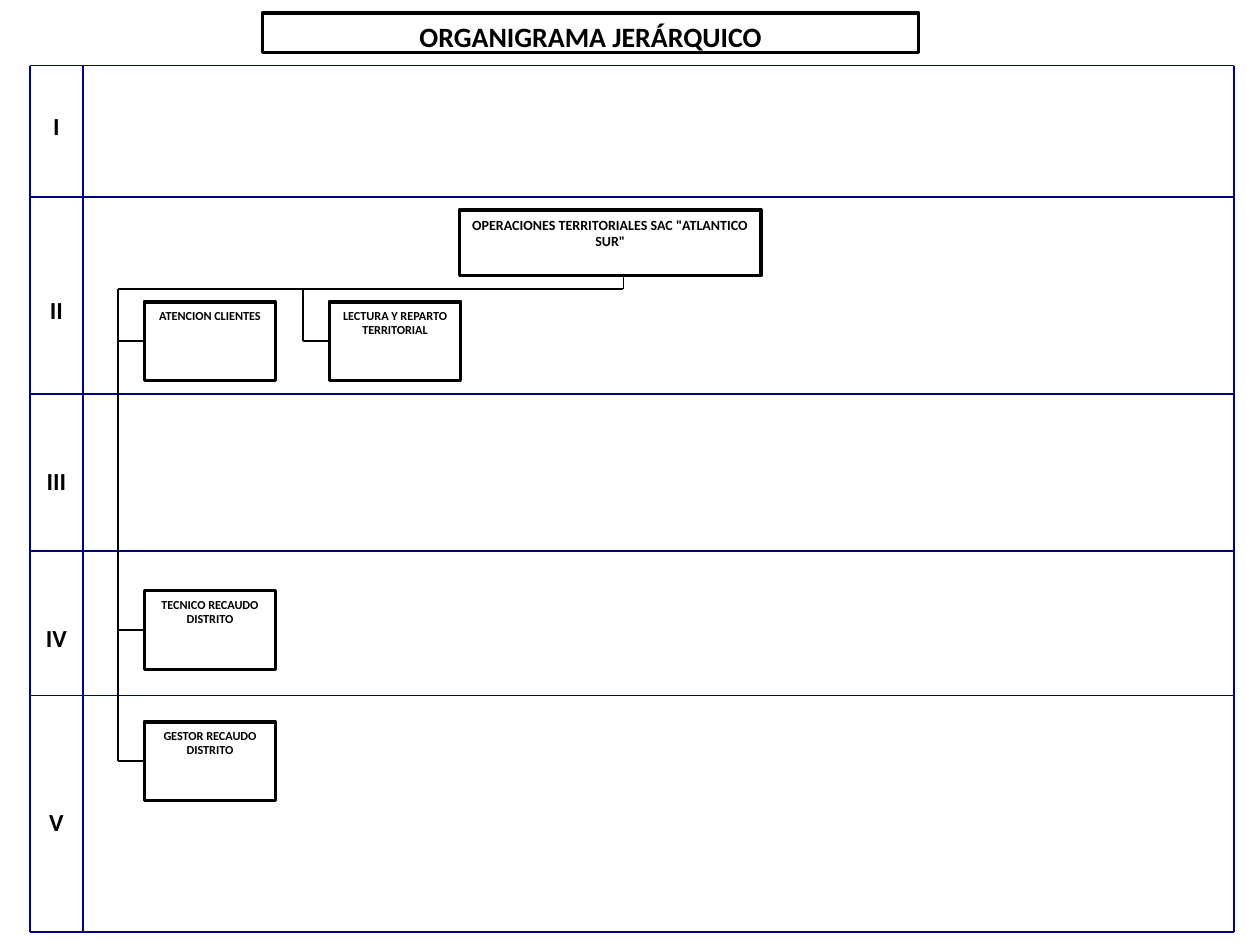
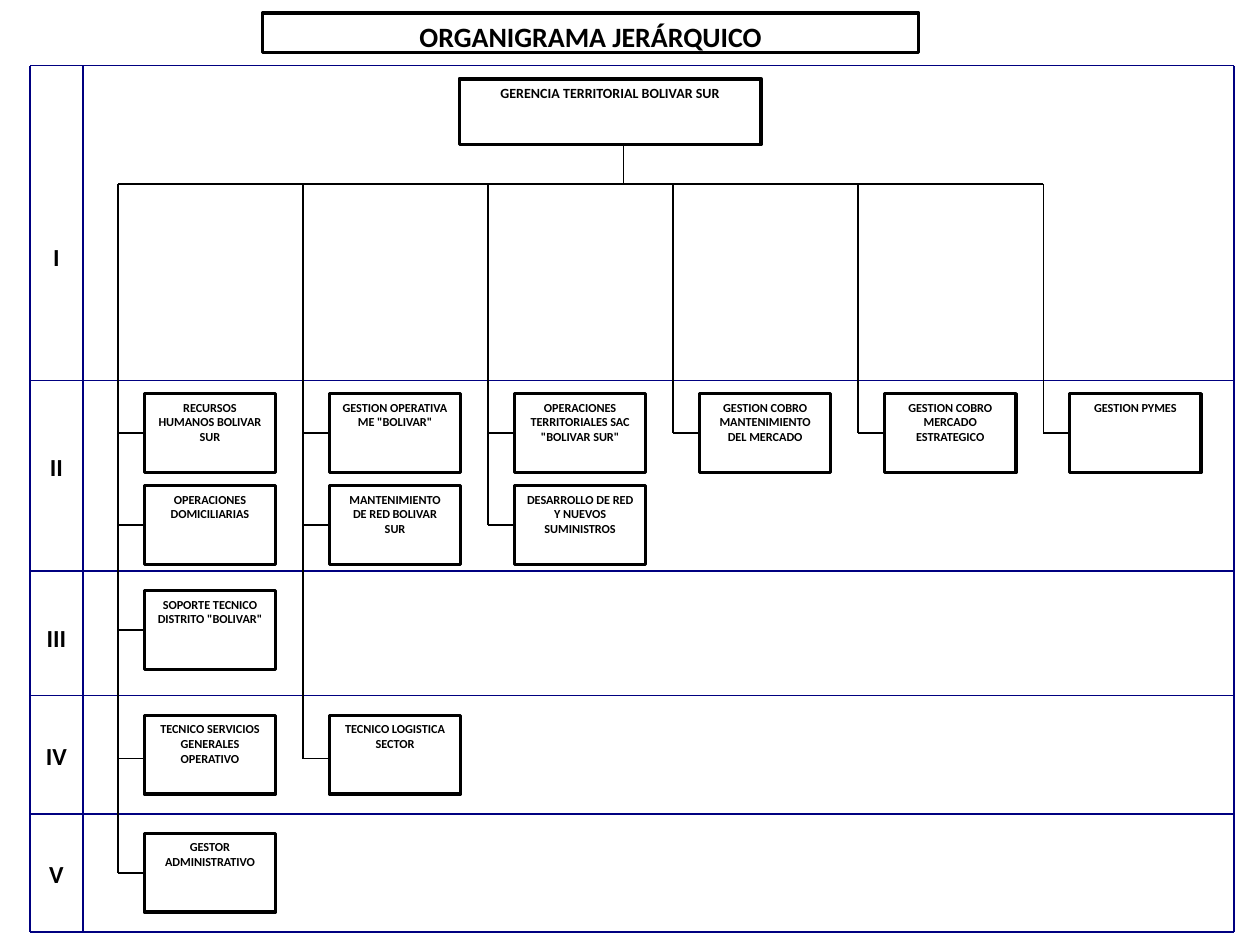
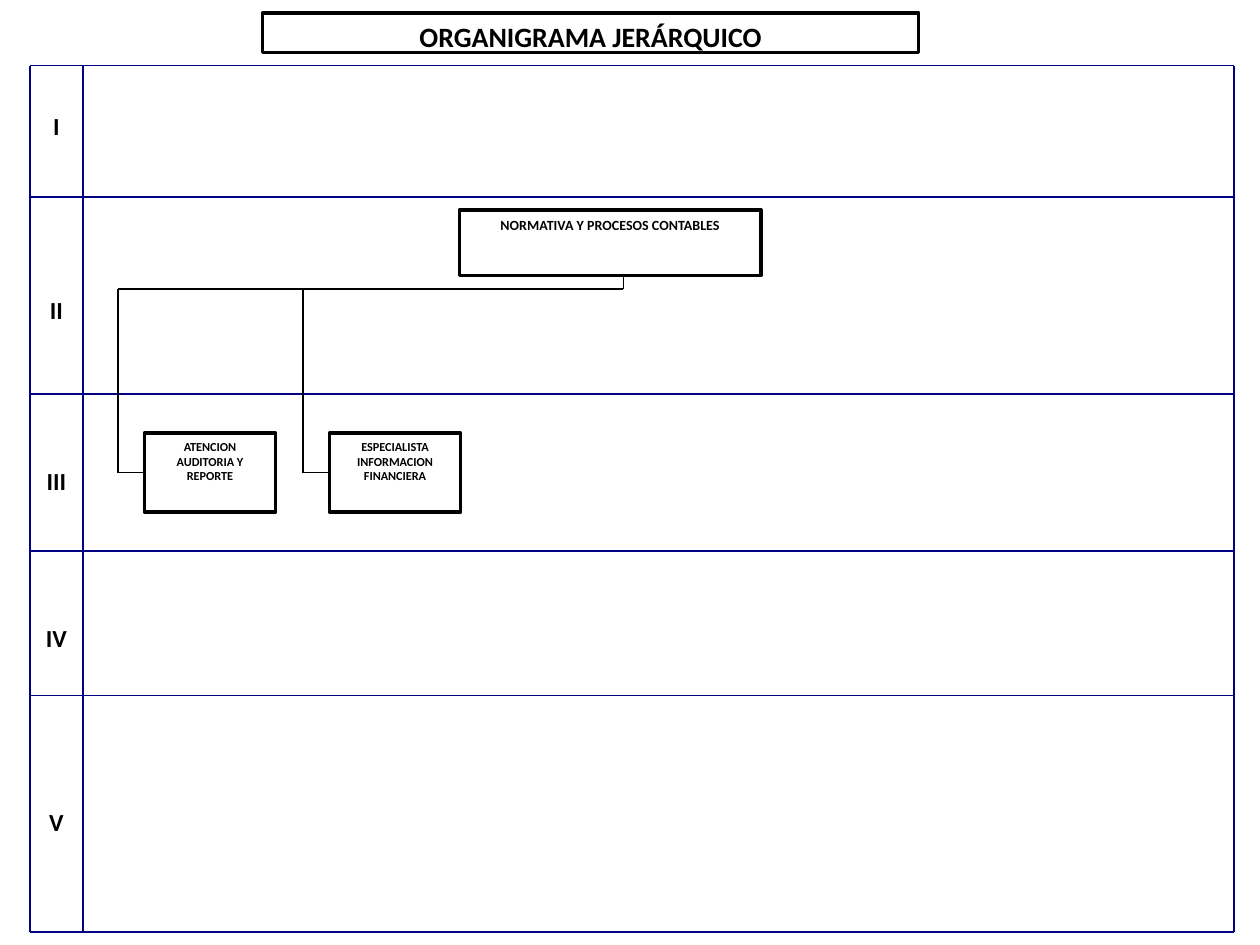
from itertools import pairwise

from pptx import Presentation
from pptx.dml.color import RGBColor
from pptx.enum.shapes import MSO_CONNECTOR, MSO_SHAPE
from pptx.enum.text import MSO_ANCHOR, MSO_AUTO_SIZE, PP_ALIGN
from pptx.oxml.ns import qn
from pptx.util import Emu, Pt

EMU_PER_PX = 9525
BLACK = "000000"
NAVY = "000080"

FRAME_LEFT, FRAME_RIGHT = 23, 940
FRAME_TOP, FRAME_BOTTOM = 50, 710
LEVEL_RIGHT = 63
LEVELS = ["I", "II", "III", "IV", "V"]

HEAD_LEFT, HEAD_WIDTH, HEAD_HEIGHT = 350, 230, 50
TRUNK_X = 475
BRANCH_LEFT, BRANCH_PITCH, BRANCH_GAP = 90, 141, 20
UNIT_WIDTH, UNIT_HEIGHT = 100, 60

STANDARD_DIVIDERS = [150, 300, 420, 530]
STANDARD_LEVEL_TOPS = [80, 220, 350, 470, 610]

CHARTS = [
    {
        "head": 'OPERACIONES TERRITORIALES SAC "ATLANTICO SUR"',
        "head_top": 160,
        "bar_y": 220,
        "dividers": STANDARD_DIVIDERS,
        "level_tops": STANDARD_LEVEL_TOPS,
        "rows": [
            (230, 260, ["ATENCION CLIENTES", "LECTURA Y REPARTO TERRITORIAL"]),
            (450, 480, ["TECNICO RECAUDO DISTRITO"]),
            (550, 580, ["GESTOR RECAUDO DISTRITO"]),
        ],
    },
    {
        "head": "GERENCIA TERRITORIAL BOLIVAR SUR",
        "head_top": 60,
        "bar_y": 140,
        "dividers": [290, 435, 530, 620],
        "level_tops": [180, 340, 470, 560, 650],
        "rows": [
            (300, 330, [
                "RECURSOS HUMANOS BOLIVAR SUR",
                'GESTION OPERATIVA ME "BOLIVAR"',
                'OPERACIONES TERRITORIALES SAC "BOLIVAR SUR"',
                "GESTION COBRO MANTENIMIENTO DEL MERCADO",
                "GESTION COBRO MERCADO ESTRATEGICO",
                "GESTION PYMES",
            ]),
            (370, 400, [
                "OPERACIONES DOMICILIARIAS",
                "MANTENIMIENTO DE RED BOLIVAR SUR",
                "DESARROLLO DE RED Y NUEVOS SUMINISTROS",
            ]),
            (450, 480, ['SOPORTE TECNICO DISTRITO "BOLIVAR"']),
            (545, 578, ["TECNICO SERVICIOS GENERALES OPERATIVO", "TECNICO LOGISTICA SECTOR"]),
            (635, 665, ["GESTOR ADMINISTRATIVO"]),
        ],
    },
    {
        "head": "NORMATIVA Y PROCESOS CONTABLES",
        "head_top": 160,
        "bar_y": 220,
        "dividers": STANDARD_DIVIDERS,
        "level_tops": STANDARD_LEVEL_TOPS,
        "rows": [
            (330, 360, ["ATENCION AUDITORIA Y REPORTE", "ESPECIALISTA INFORMACION FINANCIERA"]),
        ],
    },
]


def px(length):
    return Emu(length * EMU_PER_PX)


def colour(value):
    return RGBColor.from_string(value)


class OrganisationDeck:
    font_name = "Calibri"
    title_size = 16
    level_size = 14
    head_size = 8
    unit_size = 7

    def __init__(self):
        self.presentation = Presentation()
        self.presentation.slide_width = px(960)
        self.presentation.slide_height = px(720)
        self.slide = None

    def add_slide(self):
        layout = self.presentation.slide_layouts.get_by_name("Title Only")
        self.slide = self.presentation.slides.add_slide(layout)

    def set_text(self, shape, text, size):
        text_frame = shape.text_frame
        text_frame.text = text
        text_frame.word_wrap = True
        text_frame.auto_size = MSO_AUTO_SIZE.NONE
        text_frame.vertical_anchor = MSO_ANCHOR.TOP
        paragraph = text_frame.paragraphs[0]
        paragraph.alignment = PP_ALIGN.CENTER
        font = paragraph.runs[0].font
        font.name = self.font_name
        font.size = Pt(size)
        font.bold = True
        font.color.rgb = colour(BLACK)

    def outline(self, shape):
        shape.fill.background()
        shape.line.color.rgb = colour(BLACK)
        shape.line.width = Pt(2)

    def title(self, text):
        shape = self.slide.shapes.title
        shape.left, shape.top = px(200), px(10)
        shape.width, shape.height = px(500), px(30)
        self.outline(shape)
        self.set_text(shape, text, self.title_size)

    def box(self, left, top, width, height, text, size):
        shape = self.slide.shapes.add_shape(
            MSO_SHAPE.RECTANGLE, px(left), px(top), px(width), px(height)
        )
        shape.shadow.inherit = False
        self.outline(shape)
        self.set_text(shape, text, size)

    def level(self, top, text):
        shape = self.slide.shapes.add_textbox(
            px(FRAME_LEFT), px(top), px(LEVEL_RIGHT - FRAME_LEFT), px(30)
        )
        self.set_text(shape, text, self.level_size)

    def line(self, start_x, start_y, end_x, end_y, line_colour=BLACK):
        connector = self.slide.shapes.add_connector(
            MSO_CONNECTOR.STRAIGHT, px(start_x), px(start_y), px(end_x), px(end_y)
        )
        connector.line.color.rgb = colour(line_colour)
        connector.line.width = Pt(1)
        properties = connector._element.spPr
        properties.append(properties.makeelement(qn("a:effectLst"), {}))

    def frame(self, dividers, level_tops):
        for x in (FRAME_LEFT, LEVEL_RIGHT, FRAME_RIGHT):
            self.line(x, FRAME_TOP, x, FRAME_BOTTOM, NAVY)
        for y in (FRAME_TOP, *dividers, FRAME_BOTTOM):
            self.line(FRAME_LEFT, y, FRAME_RIGHT, y, NAVY)
        for top, numeral in zip(level_tops, LEVELS):
            self.level(top, numeral)

    def head(self, text, top, bar_y, column_count):
        self.box(HEAD_LEFT, top, HEAD_WIDTH, HEAD_HEIGHT, text, self.head_size)
        self.line(TRUNK_X, top + HEAD_HEIGHT, TRUNK_X, bar_y)
        branches = [BRANCH_LEFT + column * BRANCH_PITCH for column in range(column_count)]
        stops = [BRANCH_LEFT, TRUNK_X] + [x for x in branches if x > TRUNK_X]
        for start_x, end_x in pairwise(stops):
            self.line(start_x, bar_y, end_x, bar_y)

    def unit(self, column, top, join_y, bar_y, text):
        branch_x = BRANCH_LEFT + column * BRANCH_PITCH
        left = branch_x + BRANCH_GAP
        self.box(left, top, UNIT_WIDTH, UNIT_HEIGHT, text, self.unit_size)
        self.line(branch_x, join_y, left, join_y)
        self.line(branch_x, bar_y, branch_x, join_y)

    def organisation_chart(self, chart):
        self.add_slide()
        self.title("ORGANIGRAMA JERÁRQUICO")
        bar_y = chart["bar_y"]
        column_count = max(len(names) for _, _, names in chart["rows"])
        self.head(chart["head"], chart["head_top"], bar_y, column_count)
        self.frame(chart["dividers"], chart["level_tops"])
        for top, join_y, names in chart["rows"]:
            for column, name in enumerate(names):
                self.unit(column, top, join_y, bar_y, name)


def main():
    deck = OrganisationDeck()
    for chart in CHARTS:
        deck.organisation_chart(chart)
    deck.presentation.save("out.pptx")


if __name__ == "__main__":
    main()
